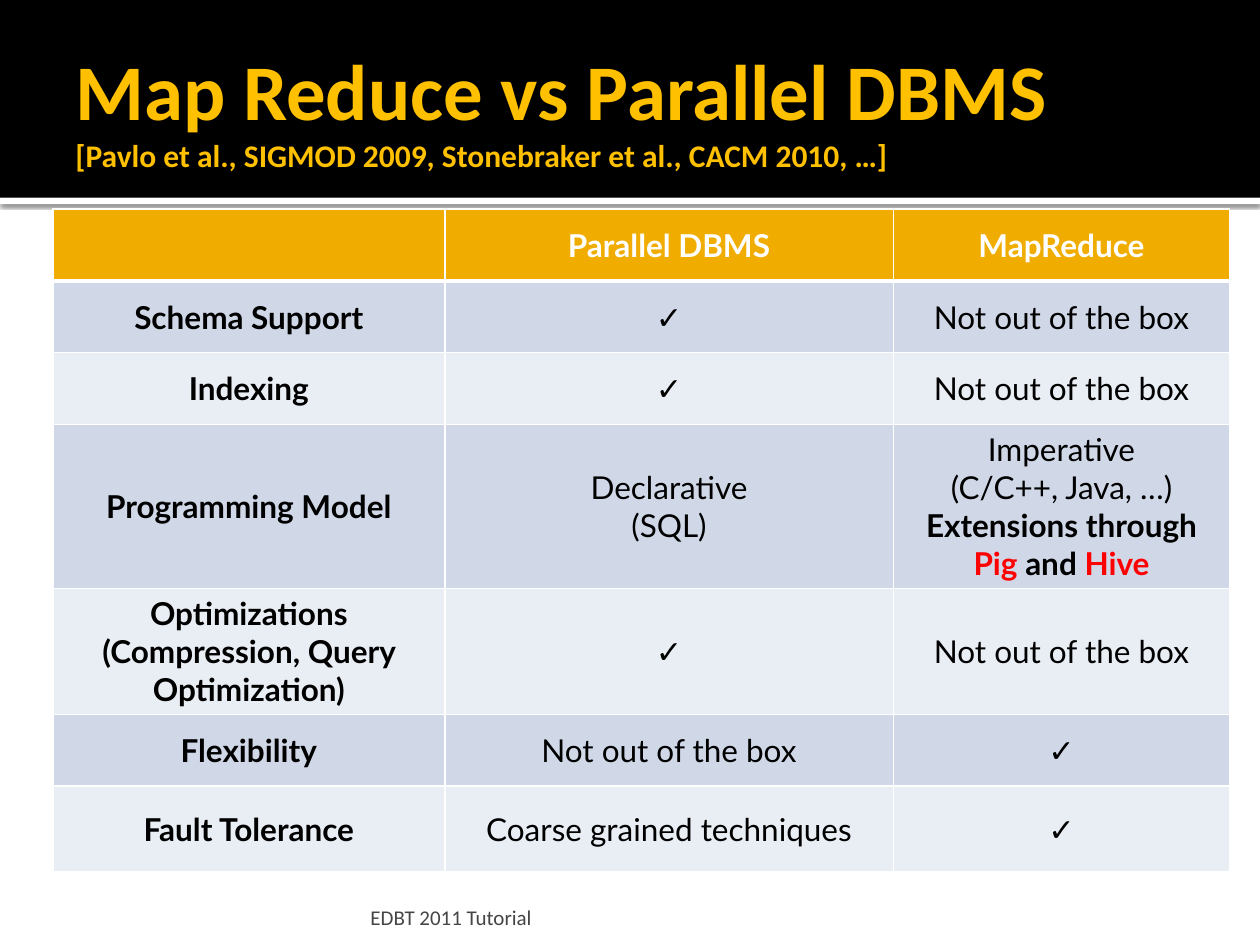
import pptx
import pptx.util
import pptx.dml.color
import pptx.enum.shapes
import pptx.enum.text
import pptx.oxml
from lxml import etree

COLORS = {
    "band": "000000", "rule": "FFFFFF", "title": "FFC000", "header": "F0AD00",
    "header text": "FFFFFF", "odd row": "D0D8E8", "even row": "E9EDF4",
    "body": "000000", "highlight": "FF0000", "footer": "454545", "border": "FFFFFF",
}
HEADING = "Map Reduce vs Parallel DBMS"
CITATION = "[Pavlo et al., SIGMOD 2009, Stonebraker et al., CACM 2010, …]"
FOOTER = "EDBT 2011 Tutorial"
YES = "✓"
NO = "Not out of the box"

# A cell is a list of paragraphs; a paragraph is a list of (words, bold, colour).
def lines(*texts, bold=False, color="body"):
    return [[(text, bold, color)] for text in texts]

EXTENSIONS = lines("Extensions through", bold=True) + [
    [("Pig", True, "highlight"), (" and ", True, "body"), ("Hive", True, "highlight")]]
COMPARISON = [
    ("Schema Support", lines(YES), lines(NO)),
    ("Indexing", lines(YES), lines(NO)),
    ("Programming Model", lines("Declarative", "(SQL)"),
     lines("Imperative", "(C/C++, Java, …)") + EXTENSIONS),
    ("Optimizations (Compression, Query Optimization)", lines(YES), lines(NO)),
    ("Flexibility", lines(NO), lines(YES)),
    ("Fault Tolerance", lines("Coarse grained techniques"), lines(YES)),
]
ROWS = [[[]] + [lines(name, bold=True, color="header text")[0:]
                for name in ("Parallel DBMS", "MapReduce")]]
ROWS += [[lines(feature, bold=True), dbms, mapreduce]
         for feature, dbms, mapreduce in COMPARISON]
COLUMN_WIDTHS = [3.11, 3.56, 2.67]
ROW_HEIGHTS = [0.57, 0.57, 0.57, 1.3, 1.0, 0.57, 0.68]
ROW_HEIGHTS[3:5] = [1.26, 0.97]
SLIDE_WIDTH, SLIDE_HEIGHT = 10, 7.5
BAND_HEIGHT, RULE_HEIGHT = 1.57, 0.05

inches = pptx.util.Inches


def rgb(name):
    return pptx.dml.color.RGBColor.from_string(COLORS[name])


def style(run, font, size, color, bold=False):
    run.font.name = font
    run.font.size = pptx.util.Pt(size)
    run.font.bold = bold
    run.font.color.rgb = rgb(color)


def add_bar(slide, top, height, color):
    bar = slide.shapes.add_shape(pptx.enum.shapes.MSO_SHAPE.RECTANGLE, 0, inches(top),
                                 inches(SLIDE_WIDTH), inches(height))
    bar.fill.solid()
    bar.fill.fore_color.rgb = rgb(color)
    bar.line.fill.background()
    bar.shadow.inherit = False
    return bar


def cast_shadow(bar):
    effects = bar._element.spPr.find(pptx.oxml.ns.qn("a:effectLst"))
    effects.append(pptx.oxml.parse_xml(
        f'<a:outerShdw {pptx.oxml.ns.nsdecls("a")} blurRad="31750" dist="10160" '
        'dir="5400000" algn="tl" rotWithShape="0"><a:srgbClr val="000000">'
        '<a:alpha val="60000"/></a:srgbClr></a:outerShdw>'))


def add_text(slide, box, margins, anchor, text):
    frame = slide.shapes.add_textbox(*map(inches, box)).text_frame
    frame.word_wrap = True
    frame.vertical_anchor = anchor
    (frame.margin_left, frame.margin_top,
     frame.margin_right, frame.margin_bottom) = map(inches, margins)
    frame.text = text
    paragraph = frame.paragraphs[0]
    paragraph.alignment = pptx.enum.text.PP_ALIGN.LEFT
    return paragraph


def add_borders(cell, widths):
    """Draw the cell's left, right, top and bottom borders, widths in points."""
    properties = cell._tc.get_or_add_tcPr()
    for place, (side, width) in enumerate(zip("LRTB", widths)):
        properties.insert(place, pptx.oxml.parse_xml(
            f'<a:ln{side} {pptx.oxml.ns.nsdecls("a")} w="{width * 12700}"><a:solidFill>'
            f'<a:srgbClr val="{COLORS["border"]}"/></a:solidFill></a:ln{side}>'))


def fill_cell(cell, paragraphs):
    cell.vertical_anchor = pptx.enum.text.MSO_ANCHOR.MIDDLE
    cell.text_frame.text = "\n".join("" for _ in paragraphs)
    for paragraph, parts in zip(cell.text_frame.paragraphs, paragraphs):
        paragraph.alignment = pptx.enum.text.PP_ALIGN.CENTER
        for words, bold, color in parts:
            run = paragraph.add_run()
            run.text = words
            style(run, "Lato", 18, color, bold)


def add_comparison(slide):
    table = slide.shapes.add_table(
        len(ROWS), len(COLUMN_WIDTHS), inches(0.42), inches(1.66),
        inches(sum(COLUMN_WIDTHS)), inches(sum(ROW_HEIGHTS))).table
    for column, width in zip(table.columns, COLUMN_WIDTHS):
        column.width = inches(width)
    for r, (height, row) in enumerate(zip(ROW_HEIGHTS, ROWS)):
        table.rows[r].height = inches(height)
        background = "header" if r == 0 else ("even row", "odd row")[r % 2]
        for c, paragraphs in enumerate(row):
            cell = table.cell(r, c)
            fill_cell(cell, paragraphs)
            cell.fill.solid()
            cell.fill.fore_color.rgb = rgb(background)
            add_borders(cell, (1, 1, 3 if r == 1 else 1, 3 if r == 0 else 1))


def main():
    deck = pptx.Presentation()
    deck.slide_width, deck.slide_height = inches(SLIDE_WIDTH), inches(SLIDE_HEIGHT)
    slide = deck.slides.add_slide(deck.slide_layouts[6])

    cast_shadow(add_bar(slide, BAND_HEIGHT, RULE_HEIGHT, "rule"))
    add_bar(slide, 0, BAND_HEIGHT, "band")

    title = add_text(slide, (0.5, 0.17, 9, 1.37), (0.1, 0.05, 0.05, 0.05),
                     pptx.enum.text.MSO_ANCHOR.MIDDLE, f"{HEADING}\v{CITATION}")
    for run, size in zip(title.runs, (45, 18)):
        style(run, "Calibri", size, "title", bold=True)

    add_comparison(slide)

    footer = add_text(slide, (2.89, 7.08, 6.02, 0.3), (0.05, 0.05, 0.05, 0),
                      pptx.enum.text.MSO_ANCHOR.BOTTOM, FOOTER)
    style(footer.runs[0], "Calibri", 12, "footer")
    deck.save("out.pptx")


if __name__ == "__main__":
    main()
